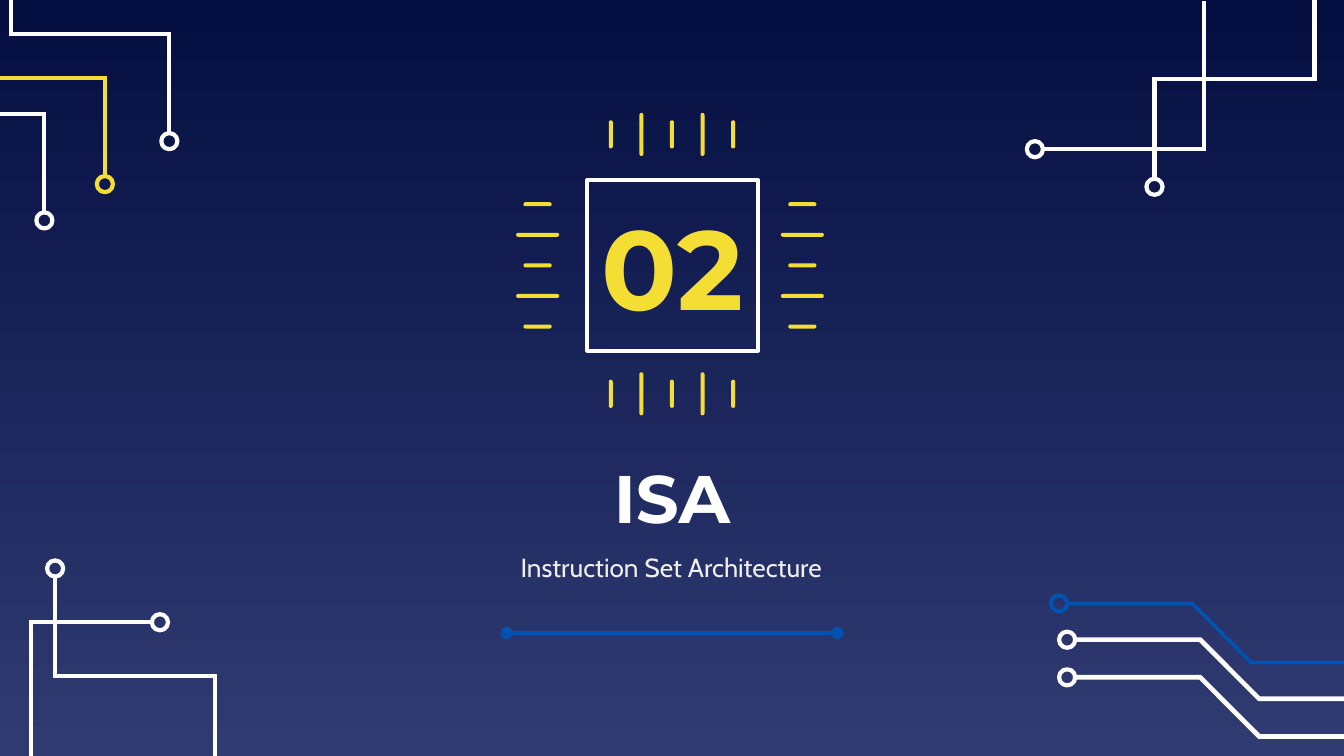
from dataclasses import dataclass
from math import hypot

from lxml.etree import SubElement
from pptx import Presentation
from pptx.dml.color import RGBColor
from pptx.enum.shapes import MSO_CONNECTOR, MSO_SHAPE as Preset
from pptx.enum.text import MSO_ANCHOR, MSO_AUTO_SIZE, PP_ALIGN
from pptx.oxml.ns import qn
from pptx.util import Inches, Pt

WHITE = RGBColor(0xFF, 0xFF, 0xFF)
YELLOW = RGBColor(0xF5, 0xDE, 0x34)
BLUE = RGBColor(0x01, 0x52, 0xB1)
PALE = RGBColor(0xEF, 0xEF, 0xEF)
NIGHT = RGBColor(0x04, 0x0E, 0x41)
INDIGO = RGBColor(0x30, 0x3B, 0x72)

WIDTH = 10
HEIGHT = WIDTH * 9 / 16
CENTER = WIDTH / 2
STROKE = 2.25
PAD = 0.12
PAD_OFFSET = 0.06

Point = tuple[float, float]


@dataclass(frozen=True)
class Trace:
    """A circuit path that starts at its ring-shaped pad."""
    points: list[Point]
    color: RGBColor = WHITE
    weight: float = STROKE


def bus_lane(x: float, y: float, color: RGBColor, weight: float) -> Trace:
    run, drop = 0.93, 0.44
    bend = x + run
    return Trace([(x, y), (bend, y), (bend + drop, y + drop), (WIDTH, y + drop)],
                 color, weight)


TRACES = [
    bus_lane(7.94, 4.49, BLUE, 2),
    bus_lane(8.0, 4.76, WHITE, 2.5),
    bus_lane(8.0, 5.04, WHITE, 2.5),
    Trace([(0.41, 4.29), (0.41, 5.03), (1.6, 5.03), (1.6, HEIGHT)]),
    Trace([(1.13, 4.63), (0.23, 4.63), (0.23, HEIGHT)]),
    Trace([(7.76, 1.11), (8.96, 1.11), (8.96, 0.01)]),
    Trace([(8.59, 1.33), (8.59, 0.59), (9.78, 0.59), (9.78, 0)]),
    Trace([(0.33, 1.58), (0.33, 0.85), (0, 0.85)]),
    Trace([(0.78, 1.31), (0.78, 0.58), (0, 0.58)], YELLOW),
    Trace([(1.26, 0.99), (1.26, 0.25), (0.08, 0.25), (0.08, 0)]),
]

# Chip: pins sit on a regular pitch along each side of the number box
BOX_SIZE = 1.27
BOX_LEFT, BOX_TOP = 4.37, 1.34
PIN_LENGTHS = [0.21, 0.32, 0.21, 0.32, 0.21]
PIN_SPAN = 0.91
PIN_PITCH = PIN_SPAN / (len(PIN_LENGTHS) - 1)
PIN_THICKNESS = 0.03
PIN_ROWS = (1.0, 2.93)
PIN_COLUMNS = (4.0, 5.97)
CHIP_MIDDLE = BOX_TOP + BOX_SIZE / 2


def add_shape(slide, preset: Preset, left: float, top: float, width: float, height: float):
    shape = slide.shapes.add_shape(
        preset, Inches(left), Inches(top), Inches(width), Inches(height))
    shape.shadow.inherit = False
    return shape


def outline(shape, color: RGBColor, weight: float = STROKE, join: str = "a:round") -> None:
    shape.fill.background()
    shape.line.color.rgb = color
    shape.line.width = Pt(weight)
    SubElement(shape.line._get_or_add_ln(), qn(join))


def draw_trace(slide, trace: Trace) -> None:
    start, *rest = [(Inches(x), Inches(y)) for x, y in trace.points]
    builder = slide.shapes.build_freeform(*start)
    builder.add_line_segments(rest, close=False)
    path = builder.convert_to_shape()
    path.shadow.inherit = False
    outline(path, trace.color, trace.weight, "a:miter")

    (x, y), (next_x, next_y) = trace.points[:2]
    length = hypot(x - next_x, y - next_y)
    pad_x = x + PAD_OFFSET * (x - next_x) / length
    pad_y = y + PAD_OFFSET * (y - next_y) / length
    pad = add_shape(slide, Preset.OVAL, pad_x - PAD / 2, pad_y - PAD / 2, PAD, PAD)
    outline(pad, trace.color)


def draw_pin(slide, x: float, y: float, width: float, height: float) -> None:
    pin = add_shape(slide, Preset.ROUNDED_RECTANGLE,
                    x - width / 2, y - height / 2, width, height)
    pin.adjustments[0] = 0.5
    pin.fill.solid()
    pin.fill.fore_color.rgb = YELLOW
    pin.line.fill.background()


def draw_pins(slide) -> None:
    for index, length in enumerate(PIN_LENGTHS):
        offset = index * PIN_PITCH - PIN_SPAN / 2
        for x in PIN_COLUMNS:
            draw_pin(slide, x, CHIP_MIDDLE + offset, length, PIN_THICKNESS)
        for y in PIN_ROWS:
            draw_pin(slide, CENTER + offset, y, PIN_THICKNESS, length)


def write(shape, text: str, font_name: str, size: float, color: RGBColor,
          bold: bool = False) -> None:
    frame = shape.text_frame
    frame.text = text
    frame.word_wrap = True
    frame.auto_size = MSO_AUTO_SIZE.NONE
    frame.vertical_anchor = MSO_ANCHOR.MIDDLE
    frame.margin_left = frame.margin_right = Inches(0.1)
    frame.margin_top = frame.margin_bottom = Inches(0.1)
    paragraph = frame.paragraphs[0]
    paragraph.alignment = PP_ALIGN.CENTER
    font = paragraph.font
    font.name, font.size, font.bold = font_name, Pt(size), bold
    font.color.rgb = color


def draw_divider(slide, y: float, length: float) -> None:
    divider = slide.shapes.add_connector(
        MSO_CONNECTOR.STRAIGHT, Inches(CENTER - length / 2), Inches(y),
        Inches(CENTER + length / 2), Inches(y))
    divider.line.color.rgb = BLUE
    divider.line.width = Pt(STROKE)
    line = divider.line._get_or_add_ln()
    for end in ("a:headEnd", "a:tailEnd"):
        SubElement(line, qn(end), type="oval")
    SubElement(divider._element.spPr, qn("a:effectLst"))


def paint_background(slide) -> None:
    fill = slide.background.fill
    fill.gradient()
    fill.gradient_angle = 270
    for stop, color in zip(fill.gradient_stops, (NIGHT, INDIGO)):
        stop.color.rgb = color


def main() -> None:
    deck = Presentation()
    deck.slide_width, deck.slide_height = Inches(WIDTH), Inches(HEIGHT)
    slide = deck.slides.add_slide(deck.slide_layouts.get_by_name("Title Only"))
    paint_background(slide)

    for trace in TRACES:
        draw_trace(slide, trace)

    title = slide.shapes.title
    title.left, title.top = Inches(2.68), Inches(3.36)
    title.width, title.height = Inches(4.64), Inches(0.67)
    write(title, "ISA", "Montserrat", 36, WHITE, bold=True)

    number = add_shape(slide, Preset.RECTANGLE, BOX_LEFT, BOX_TOP, BOX_SIZE, BOX_SIZE)
    outline(number, WHITE)
    write(number, "02", "Montserrat", 60, YELLOW, bold=True)

    subtitle = slide.shapes.add_textbox(
        Inches(2.74), Inches(3.99), Inches(4.51), Inches(0.46))
    write(subtitle, "Instruction Set Architecture", "Cabin", 14, PALE)

    draw_divider(slide, 4.71, 2.46)
    draw_pins(slide)
    deck.save("out.pptx")


if __name__ == "__main__":
    main()
